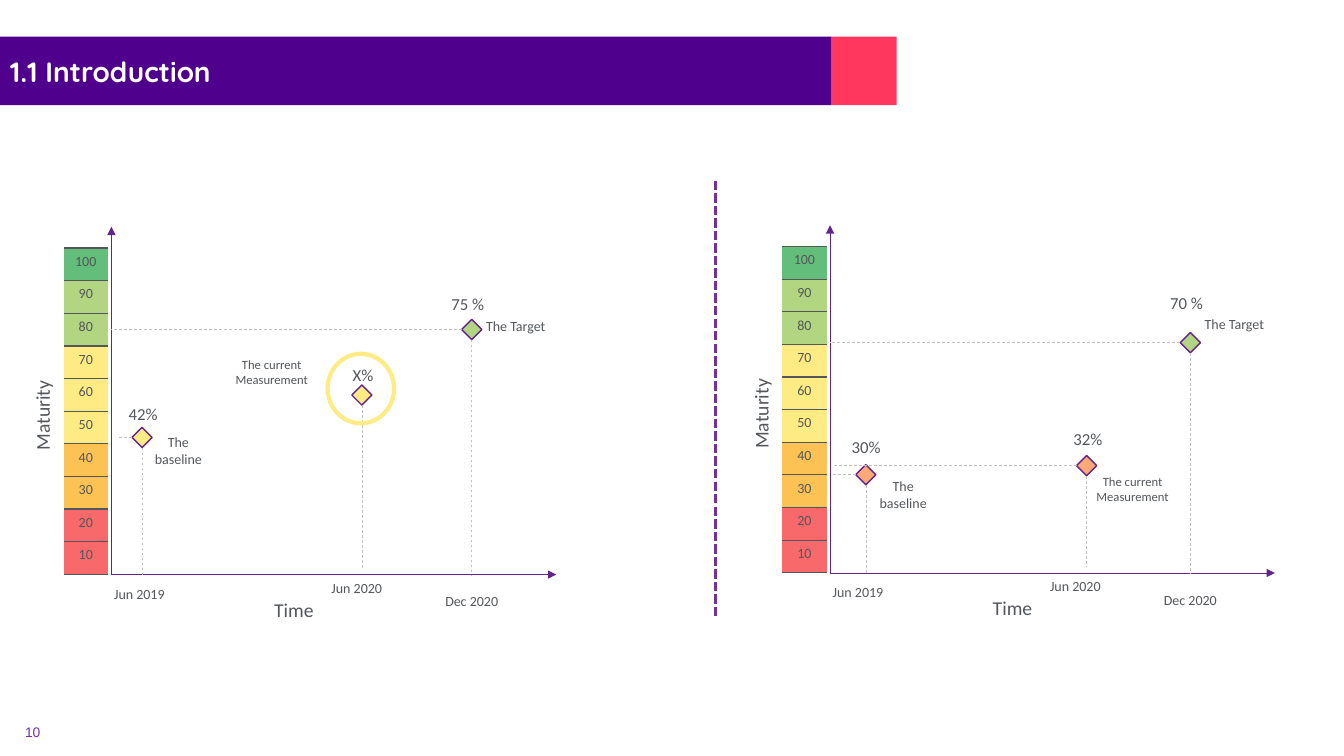
from dataclasses import dataclass

from lxml.etree import SubElement
from pptx import Presentation
from pptx.dml.color import RGBColor
from pptx.enum.dml import MSO_LINE
from pptx.enum.shapes import MSO_CONNECTOR, MSO_SHAPE
from pptx.enum.text import MSO_ANCHOR, MSO_AUTO_SIZE, PP_ALIGN
from pptx.oxml.ns import qn
from pptx.util import Pt


@dataclass(frozen=True)
class Theme:
    purple: str = "4F008C"
    pink: str = "FF375E"
    violet: str = "7030A0"
    axis: str = "63238C"
    guide: str = "BFBFBF"
    text: str = "53565A"
    white: str = "FFFFFF"
    green: str = "63BE7B"
    lime: str = "B1D580"
    yellow: str = "FFEB84"
    amber: str = "FCC354"
    salmon: str = "FBAA77"
    red: str = "F8696B"
    head: str = "Quicksand"
    body: str = "Calibri"
    number: str = "Arial"
    title: float = 20
    axis_title: float = 14
    value: float = 12
    label: float = 10
    small: float = 9


T = Theme()
SCALE = [T.green, T.lime, T.lime] + [T.yellow] * 3 + [T.amber] * 2 + [T.red] * 2
MARK = 14.4


@dataclass(frozen=True)
class Point:
    x: float
    y: float
    color: str
    value: str
    value_at: tuple
    caption: str
    caption_box: tuple
    size: float = T.label
    guide_x: float = None
    drop: float = 0
    ring: bool = False


def set_all(obj, values):
    for name, value in values.items():
        setattr(obj, name, value)


def write(tf, text, size, color=T.text, font=T.body, bold=False, align=PP_ALIGN.LEFT):
    p = tf.paragraphs[0]
    p.alignment = align
    r = p.add_run()
    r.text = text
    set_all(r.font, {"name": font, "size": Pt(size), "bold": bold})
    r.font.color.rgb = RGBColor.from_string(color)


def add_text(s, box, text, size, wrap=True, **style):
    sp = s.shapes.add_textbox(*map(Pt, box))
    set_all(sp.text_frame, {"word_wrap": wrap, "auto_size": MSO_AUTO_SIZE.SHAPE_TO_FIT_TEXT})
    write(sp.text_frame, text, size, **style)
    return sp


def add_shape(s, kind, box, fill=None, line=None, width=1):
    sp = s.shapes.add_shape(kind, *map(Pt, box))
    sp.shadow.inherit = False
    if fill:
        sp.fill.solid()
        sp.fill.fore_color.rgb = RGBColor.from_string(fill)
    else:
        sp.fill.background()
    if line:
        sp.line.color.rgb = RGBColor.from_string(line)
        sp.line.width = Pt(width)
    else:
        sp.line.fill.background()
    return sp


def add_line(s, start, end, color, width=0.5, dash=None, arrow=False):
    c = s.shapes.add_connector(MSO_CONNECTOR.STRAIGHT, *map(Pt, start + end))
    c.line.color.rgb = RGBColor.from_string(color)
    set_all(c.line, {"width": Pt(width), "dash_style": dash})
    if arrow:
        SubElement(c.line._get_or_add_ln(), qn("a:tailEnd"), type="triangle")
    SubElement(c._element.spPr, qn("a:effectLst"))
    return c


def border_cell(cell):
    tcPr = cell._tc.get_or_add_tcPr()
    for i, side in enumerate(("lnL", "lnR", "lnT", "lnB")):
        ln = SubElement(tcPr, qn(f"a:{side}"), w=str(Pt(1)))
        tcPr.insert(i, ln)
        if side in ("lnT", "lnB"):
            fill = SubElement(ln, qn("a:solidFill"))
            SubElement(fill, qn("a:srgbClr"), val=T.text)
        else:
            SubElement(ln, qn("a:noFill"))


def add_scale(s, box):
    frame = s.shapes.add_table(len(SCALE), 1, *map(Pt, box))
    table = frame.table
    set_all(table, {"first_row": False, "horz_banding": False})
    table.columns[0].width = Pt(box[2])
    for i, color in enumerate(SCALE):
        table.rows[i].height = Pt(box[3] / len(SCALE))
        cell = table.cell(i, 0)
        cell.fill.solid()
        cell.fill.fore_color.rgb = RGBColor.from_string(color)
        border_cell(cell)
        write(cell.text_frame, str(100 - 10 * i), T.label, align=PP_ALIGN.CENTER)


def add_point(s, box, pt):
    left, top, _, height = box
    x, y = left + pt.x, top + pt.y
    mark = add_shape(s, MSO_SHAPE.DIAMOND, (x - MARK / 2, y - MARK / 2, MARK, MARK), pt.color, T.axis)
    ends = [(2, (x, top + height + pt.drop))]
    if pt.guide_x is not None:
        ends.append((1, (left + pt.guide_x, y)))
    for site, end in ends:
        c = add_line(s, (x, y), end, T.guide, dash=MSO_LINE.DASH)
        c.begin_connect(mark, site)
    vx, vy = pt.value_at
    add_text(s, (x + vx, y + vy, 62.6, 21.8), pt.value, T.value)
    cx, cy, cw, ch = pt.caption_box
    add_text(s, (x + cx, y + cy, cw, ch), pt.caption, pt.size, align=PP_ALIGN.CENTER)
    if pt.ring:
        add_shape(s, MSO_SHAPE.OVAL, (x - 24.5, y - 29.5, 47.5, 49.7), line=T.yellow, width=3)


def add_panel(s, box, points):
    left, top, width, height = box
    bottom = top + height
    origin = (left + 34.2, bottom)
    add_scale(s, (left, top + 15.2, 31.7, height - 15.2))
    add_line(s, origin, (left + width, bottom), T.axis, arrow=True)
    add_line(s, origin, (left + 34.2, top), T.axis, arrow=True)
    for pt in points:
        add_point(s, box, pt)
    for text, x, y, w in (("Jun 2019", 29, 4.3, 51), ("Jun 2020", 184.3, 0, 51.6), ("Dec 2020", 265.6, 9.5, 53.3)):
        add_text(s, (left + x, bottom + y, w, 19.4), text, T.label, wrap=False)
    add_text(s, (left + 143.3, bottom + 13, 44.6, 24.3), "Time", T.axis_title, wrap=False)
    sp = add_text(s, (left - 47.5, top + 122.2, 64.8, 24.3), "Maturity", T.axis_title, wrap=False)
    sp.rotation = 270


def add_header(s, box):
    left, top, width, height = box
    sp = s.shapes.title
    set_all(sp, dict(zip(("left", "top", "width", "height"), map(Pt, (left, top, width - 46.4, height)))))
    sp.fill.solid()
    sp.fill.fore_color.rgb = RGBColor.from_string(T.purple)
    set_all(sp.text_frame, {"vertical_anchor": MSO_ANCHOR.MIDDLE, "auto_size": MSO_AUTO_SIZE.NONE, "word_wrap": True})
    write(sp.text_frame, "1.1 Introduction", T.title, T.white, T.head, True)
    add_shape(s, MSO_SHAPE.RECTANGLE, (left + width - 46.4, top, 46.4, height), T.pink)


def add_page_number(s, box):
    sp = add_text(s, box, "10", 9.9, color=T.violet, font=T.number, align=PP_ALIGN.JUSTIFY)
    set_all(sp.text_frame, {"margin_top": 0, "margin_bottom": 0, "vertical_anchor": MSO_ANCHOR.MIDDLE,
                            "auto_size": MSO_AUTO_SIZE.NONE})


LEFT_POINTS = [
    Point(56.1, 150.5, T.yellow, "42%", (-16.6, -27.4), "The baseline", (-5, -6.5, 61.9, 31.7), guide_x=39.6),
    Point(213.1, 120.2, T.yellow, "X%", (-13.7, -25.2), "The current Measurement",
          (-111.6, -31, 94.3, 28.8), T.small, drop=-4, ring=True),
    Point(291.6, 73.4, T.lime, "75 %", (-21.6, -28.8), "The Target", (2.2, -12.2, 58.3, 31.7), guide_x=34.2, drop=1),
]
RIGHT_POINTS = [
    Point(59.8, 178.2, T.salmon, "30%", (-17.3, -31), "The baseline", (-4.3, -1.4, 61.9, 31.7), guide_x=35.3),
    Point(217.5, 171.7, T.salmon, "32%", (-16.6, -30.2), "The current Measurement",
          (-14.4, 2.2, 94.3, 28.8), T.small, guide_x=36.7, drop=-4),
    Point(291.6, 83.9, T.lime, "70 %", (-21.6, -39.6), "The Target", (2.2, -23, 58.3, 31.7), guide_x=34.2),
]


def main():
    prs = Presentation()
    set_all(prs, {"slide_width": Pt(960), "slide_height": Pt(540)})
    s = prs.slides.add_slide(prs.slide_layouts[5])
    add_header(s, (0, 26.2, 640.4, 49))
    add_panel(s, (45.4, 162, 352, 248.4), LEFT_POINTS)
    add_line(s, (511.2, 129), (511.2, 442), T.violet, 2.25, MSO_LINE.SQUARE_DOT)
    add_panel(s, (558.7, 160.9, 352, 248.4), RIGHT_POINTS)
    add_page_number(s, (10.8, 515.5, 35.3, 14.4))
    prs.save("out.pptx")


if __name__ == "__main__":
    main()
